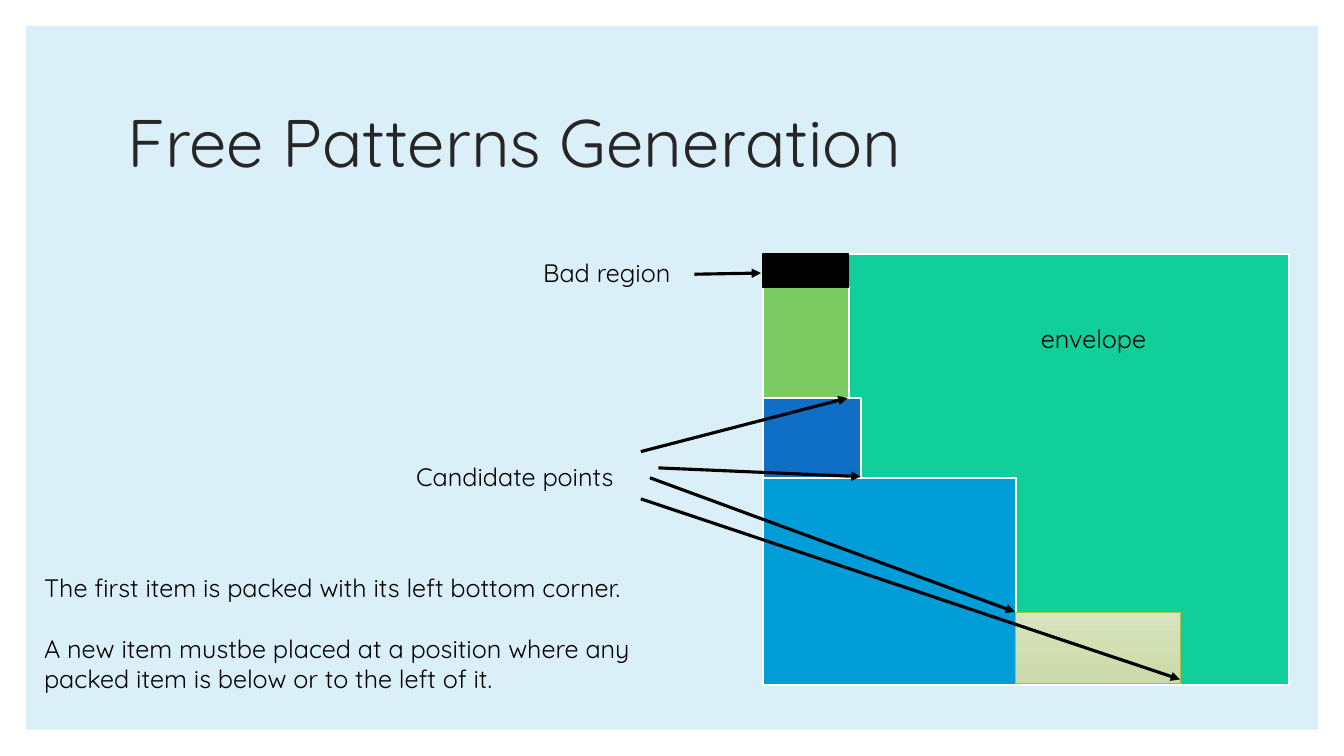
from dataclasses import dataclass

from lxml import etree
from pptx import Presentation
from pptx import util as u
from pptx.dml.color import RGBColor
from pptx.enum import shapes, text
from pptx.oxml.ns import qn


@dataclass(frozen=True)
class Theme:
    """Colours, font and type sizes."""
    font: str = "Quicksand"
    title: int = 48
    body: int = 18
    gap: int = 22
    panel: str = "DBEFF9"
    head: str = "262626"
    ink: str = "000000"
    edge: str = "FFFFFF"
    space: str = "10CF9B"
    sky: str = "009DD9"
    navy: str = "0F6FC6"
    leaf: str = "7CCA62"
    sand: tuple = ("D8E4BE", "CBDAA9")
    rim: str = "A5C249"


@dataclass(frozen=True)
class Box:
    """A place on the slide, in centimetres."""
    left: float
    top: float
    width: float
    height: float

    def frame(self) -> tuple:
        """Return the place as lengths."""
        return tuple(u.Cm(v) for v in (self.left, self.top, self.width, self.height))


@dataclass(frozen=True)
class Item:
    """A packed item: its height, width and look."""
    width: float
    height: float
    fill: str
    line: str
    weight: float = 1.5


@dataclass(frozen=True)
class Arrow:
    """A straight arrow from one point to another, in centimetres."""
    start: tuple
    end: tuple


@dataclass(frozen=True)
class Label:
    """Text paragraphs in a box."""
    box: Box
    lines: tuple


T = Theme()


def hue(code: str) -> RGBColor:
    """Turn a hex code into a colour."""
    return RGBColor.from_string(code)


def draw_box(slide, box: Box, fill, line: str = "", weight: float = 1.5) -> None:
    """Draw a rectangle; a pair of fills makes a downward gradient."""
    shape = slide.shapes.add_shape(shapes.MSO_SHAPE.RECTANGLE, *box.frame())
    shape.shadow.inherit = False
    if isinstance(fill, tuple):
        shape.fill.gradient()
        shape.fill.gradient_angle = 270
        for stop, code in zip(shape.fill.gradient_stops, fill):
            stop.color.rgb = hue(code)
    else:
        shape.fill.solid()
        shape.fill.fore_color.rgb = hue(fill)
    if line:
        shape.line.color.rgb = hue(line)
        shape.line.width = u.Pt(weight)
    else:
        shape.line.fill.background()


def draw_stack(slide, left: float, base: float, items: tuple) -> None:
    """Pile items upwards from the base, flush left."""
    top = base
    for item in items:
        top -= item.height
        box = Box(left, top, item.width, item.height)
        draw_box(slide, box, item.fill, item.line, item.weight)


def draw_arrow(slide, arrow: Arrow) -> None:
    """Draw an arrow with a triangle at its end."""
    ends = [u.Cm(v) for v in (*arrow.start, *arrow.end)]
    link = slide.shapes.add_connector(shapes.MSO_CONNECTOR.STRAIGHT, *ends)
    link.line.color.rgb = hue(T.ink)
    link.line.width = u.Pt(2.25)
    etree.SubElement(link.line._get_or_add_ln(), qn("a:tailEnd"), type="triangle")
    etree.SubElement(link._element.spPr, qn("a:effectLst"))


def draw_text(slide, label: Label, size: int = T.body, color: str = T.ink,
              anchor=text.MSO_ANCHOR.TOP, pitch: float = 1.0) -> None:
    """Write paragraphs set apart by one gap."""
    frame = slide.shapes.add_textbox(*label.box.frame()).text_frame
    frame.word_wrap = True
    frame.vertical_anchor = anchor
    for i, words in enumerate(label.lines):
        para = frame.add_paragraph() if i else frame.paragraphs[0]
        para.line_spacing = pitch
        if i:
            para.space_before = u.Pt(T.gap)
        run = para.add_run()
        run.text = words
        run.font.name = T.font
        run.font.size = u.Pt(size)
        run.font.color.rgb = hue(color)


PANEL = Box(0.66, 0.66, 32.56, 17.73)
TITLE = Label(Box(2.97, 1.78, 27.94, 3.81), ("Free Patterns Generation",))
BIN = Box(19.23, 6.4, 13.26, 10.87)
SIDE = Box(25.58, 15.42, 4.17, 1.8)
STACK = (
    Item(6.38, 5.23, T.sky, T.edge),
    Item(2.46, 2.01, T.navy, T.edge),
    Item(2.16, 2.79, T.leaf, T.edge),
    Item(2.16, 0.84, T.ink, T.ink, 1),
)
ARROWS = (
    Arrow((16.15, 11.38), (21.36, 10.03)),
    Arrow((16.15, 12.57), (29.74, 17.12)),
    Arrow((16.38, 12.04), (25.58, 15.42)),
    Arrow((16.59, 11.79), (21.69, 12.01)),
    Arrow((17.5, 6.91), (19.18, 6.88)),
)
LABELS = (
    Label(Box(10.24, 11.51, 6.65, 1.02), ("Candidate points",)),
    Label(Box(25.98, 8.03, 5.51, 1.02), ("envelope",)),
    Label(Box(13.44, 6.35, 6.81, 1.02), ("Bad region",)),
    Label(Box(0.86, 14.3, 16.94, 3.33), (
        "The first item is packed with its left bottom corner.",
        "A new item mustbe placed at a position where any packed item "
        "is below or to the left of it.",
    )),
)


def main() -> None:
    """Build the slide and save it."""
    deck = Presentation()
    deck.slide_width, deck.slide_height = u.Cm(33.87), u.Cm(19.05)
    slide = deck.slides.add_slide(deck.slide_layouts[6])
    draw_box(slide, PANEL, T.panel)
    draw_text(slide, TITLE, T.title, T.head, text.MSO_ANCHOR.MIDDLE, 0.9)
    draw_box(slide, BIN, T.space, T.edge)
    draw_stack(slide, BIN.left, BIN.top + BIN.height, STACK)
    draw_box(slide, SIDE, T.sand, T.rim, 0.5)
    for arrow in ARROWS:
        draw_arrow(slide, arrow)
    for label in LABELS:
        draw_text(slide, label)
    deck.save("out.pptx")


main()
